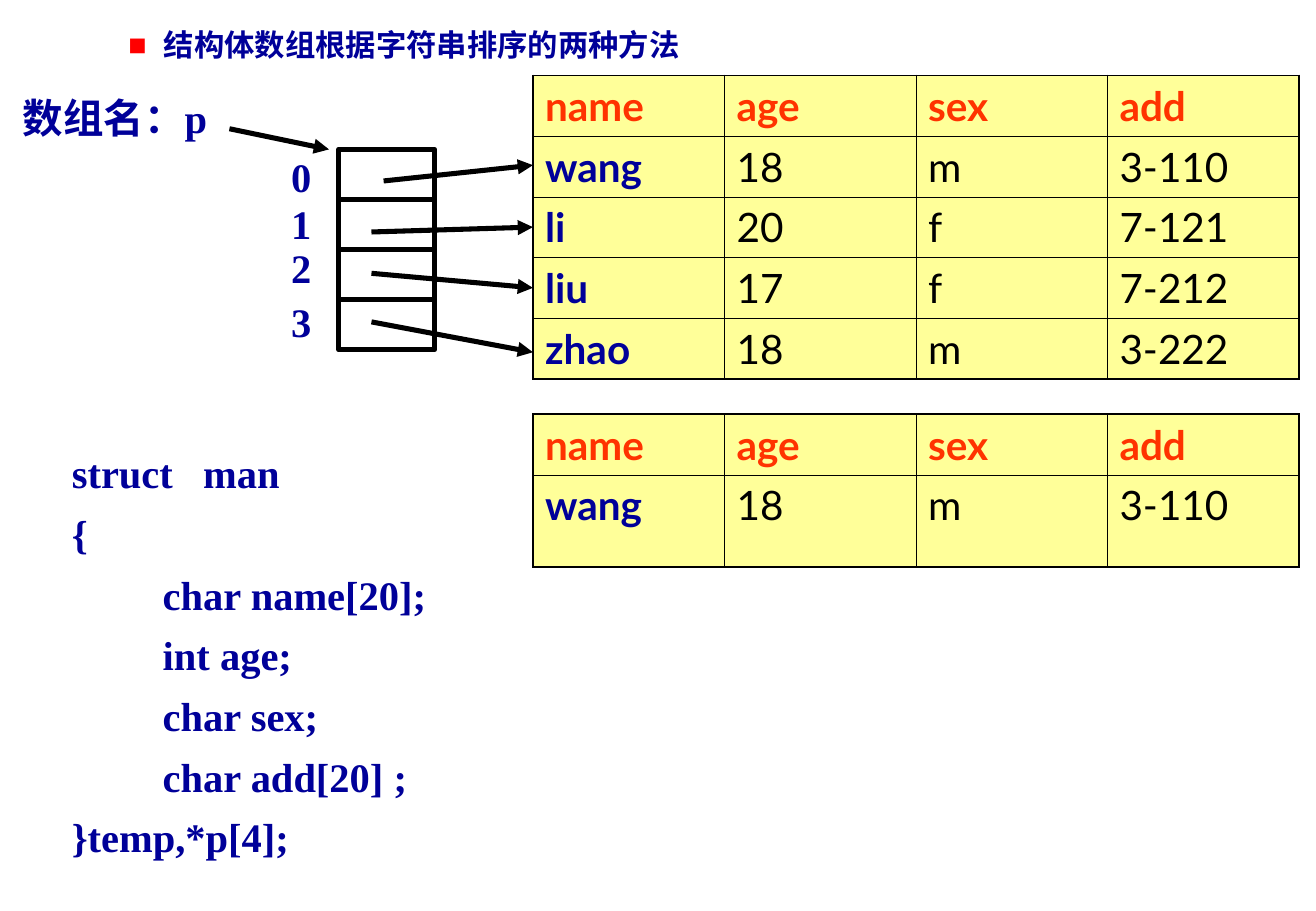
from lxml.etree import SubElement
from pptx import Presentation
from pptx.dml.color import RGBColor
from pptx.enum.shapes import MSO_CONNECTOR, MSO_SHAPE
from pptx.oxml import parse_xml
from pptx.oxml.ns import nsdecls, qn
from pptx.util import Inches, Pt

NAVY = RGBColor(0x00, 0x00, 0x99)
RED = RGBColor(0xFF, 0x00, 0x00)
ORANGE = RGBColor(0xFF, 0x33, 0x00)
CREAM = RGBColor(0xFF, 0xFF, 0x99)
BLACK = RGBColor(0x00, 0x00, 0x00)
SERIF, SANS = "Times New Roman", "Lato"
THICK, THIN = 1.08, 0.45

# The slide is a grid of square cells, ten to the inch
COLS, ROWS = 108.4, 75

HEAD = ["name", "age", "sex", "add"]
MEN = [
    ["wang", "18", "m", "3-110"],
    ["li", "20", "f", "7-121"],
    ["liu", "17", "f", "7-212"],
    ["zhao", "18", "m", "3-222"],
]
CODE = [
    " struct   man",
    " {",
    "          char name[20];",
    "          int age;",
    "          char sex;",
    "          char add[20] ;",
    " }temp,*p[4];",
]


def grid(*cells):
    return [Inches(n / 10) for n in cells]


def write(frame, *lines, size=24, font=SERIF, color=NAVY, bold=True, space=None):
    for i, line in enumerate(lines):
        para = frame.add_paragraph() if i else frame.paragraphs[0]
        para.line_spacing = space
        run = para.add_run()
        run.text = line
        run.font.size, run.font.name, run.font.bold = Pt(size), font, bold
        run.font.color.rgb = color


def add_text(slide, box, *lines, wrap=True, **style):
    frame = slide.shapes.add_textbox(*grid(*box)).text_frame
    frame.word_wrap = wrap
    write(frame, *lines, **style)
    return frame


def add_title(slide, box):
    frame = add_text(slide, box, "结构体数组根据字符串排序的两种方法", size=18)
    props = frame.paragraphs[0]._p.get_or_add_pPr()
    indent = Inches(0.29)
    props.set("marL", str(indent))
    props.set("indent", str(-indent))
    tint = SubElement(props, qn("a:buClr"))
    SubElement(tint, qn("a:srgbClr"), val=str(RED))
    SubElement(props, qn("a:buFont"), typeface=SERIF)
    SubElement(props, qn("a:buChar"), char="■")


def add_edges(cell, widths):
    props = cell._tc.get_or_add_tcPr()
    for i, (side, width) in enumerate(zip("LRTB", widths)):
        props.insert(i, parse_xml(
            f'<a:ln{side} {nsdecls("a")} w="{Pt(width)}"><a:solidFill>'
            f'<a:srgbClr val="{BLACK}"/></a:solidFill></a:ln{side}>'))


def add_grid(slide, box, rows, highs):
    """Place a table of men whose rows have the given heights."""
    last, end = len(rows) - 1, len(HEAD) - 1
    table = slide.shapes.add_table(len(rows), len(HEAD), *grid(*box)).table
    table.horz_banding = False
    for row, high in zip(table.rows, grid(*highs)):
        row.height = high
    for r, row in enumerate(rows):
        for c, word in enumerate(row):
            cell = table.cell(r, c)
            cell.fill.solid()
            cell.fill.fore_color.rgb = CREAM
            color = ORANGE if r == 0 else NAVY if c == 0 else BLACK
            write(cell.text_frame, word, font=SANS, color=color,
                  bold=color != BLACK)
            outer = (c == 0, c == end, r == 0, r == last)
            add_edges(cell, [THICK if edge else THIN for edge in outer])


def add_arrow(slide, *ends):
    arrow = slide.shapes.add_connector(MSO_CONNECTOR.STRAIGHT, *grid(*ends))
    arrow.line.color.rgb, arrow.line.width = BLACK, Pt(3)
    SubElement(arrow.line._get_or_add_ln(), qn("a:tailEnd"), type="triangle")
    SubElement(arrow._element.spPr, qn("a:effectLst"))


def add_array(slide, box):
    """Place the name, the slots, their indices and the arrows to the rows."""
    x, y, wide, high = box
    step = high / len(MEN)
    left = x + 27
    for i in range(len(MEN)):
        slot = slide.shapes.add_shape(
            MSO_SHAPE.RECTANGLE, *grid(left, y + 5.1 + i * step, 7.9, step))
        slot.shadow.inherit = False
        slot.fill.background()
        slot.line.color.rgb, slot.line.width = BLACK, Pt(3)

    # Array name and the arrow to the first slot
    add_text(slide, (x, y, 18, 5), "数组名：p")
    add_arrow(slide, x + 18, y + 3.4, x + 26.2, y + 5.1)

    # Index, start and end of each arrow
    marks = [(4.8, 30.7, 7.7, 6.4), (8.7, 29.7, 11.9, 11.5),
             (12.3, 29.7, 15.3, 16.5), (16.8, 29.7, 19.3, 21.8)]
    for i, (top, start, tail, tip) in enumerate(marks):
        add_text(slide, (x + 22.1, y + top, 3.6, 5), str(i), wrap=False)
        add_arrow(slide, x + start, y + tail, x + wide, y + tip)


def main():
    deck = Presentation()
    deck.slide_width, deck.slide_height = grid(COLS, ROWS)
    slide = deck.slides.add_slide(deck.slide_layouts[6])
    add_title(slide, (9.6, 1.7, 89.1, 4))
    add_grid(slide, (43.9, 6.2, 63.1, 25), [HEAD] + MEN, [5] * 5)
    add_text(slide, (4.1, 35.4, 34.2, 34.6), *CODE, space=1.25)
    add_grid(slide, (43.9, 34.1, 63.1, 12.6), [HEAD, MEN[0]], [5, 7.6])
    add_array(slide, (0.9, 7.2, 43, 16.5))
    deck.save("out.pptx")


if __name__ == "__main__":
    main()
